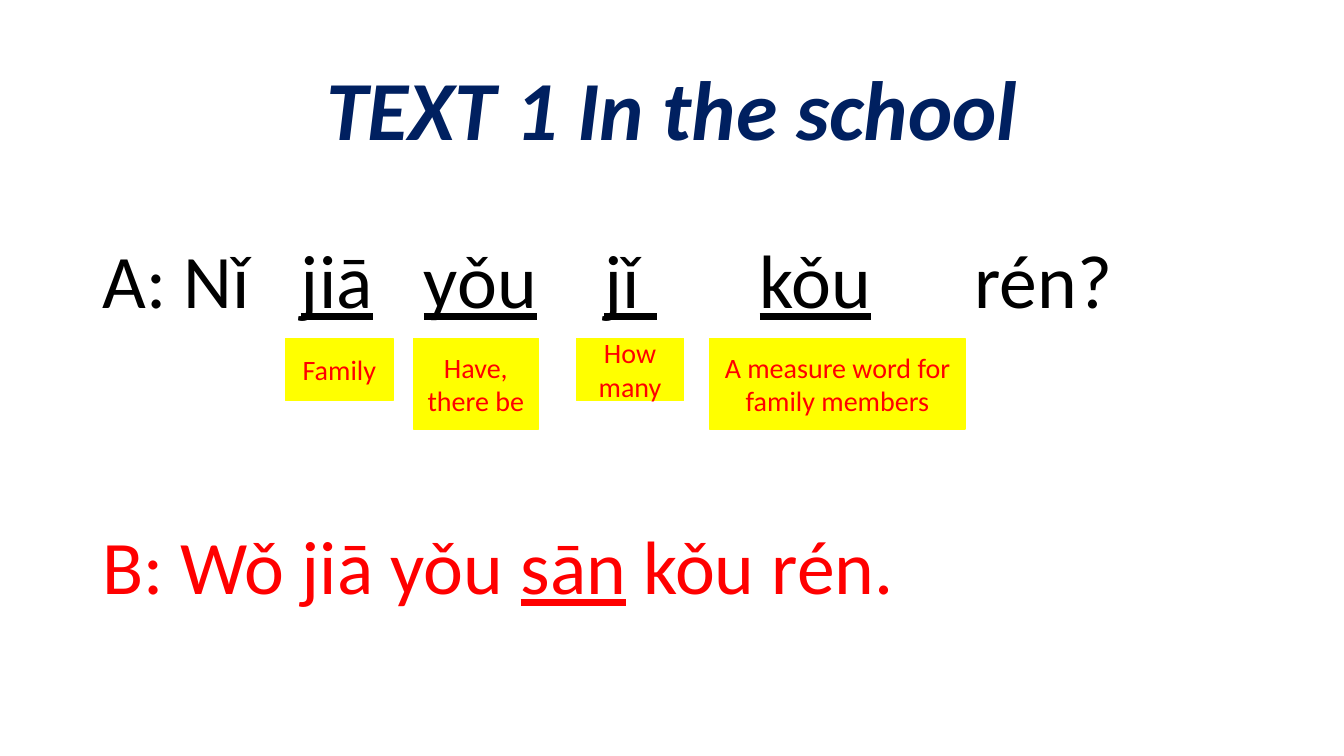
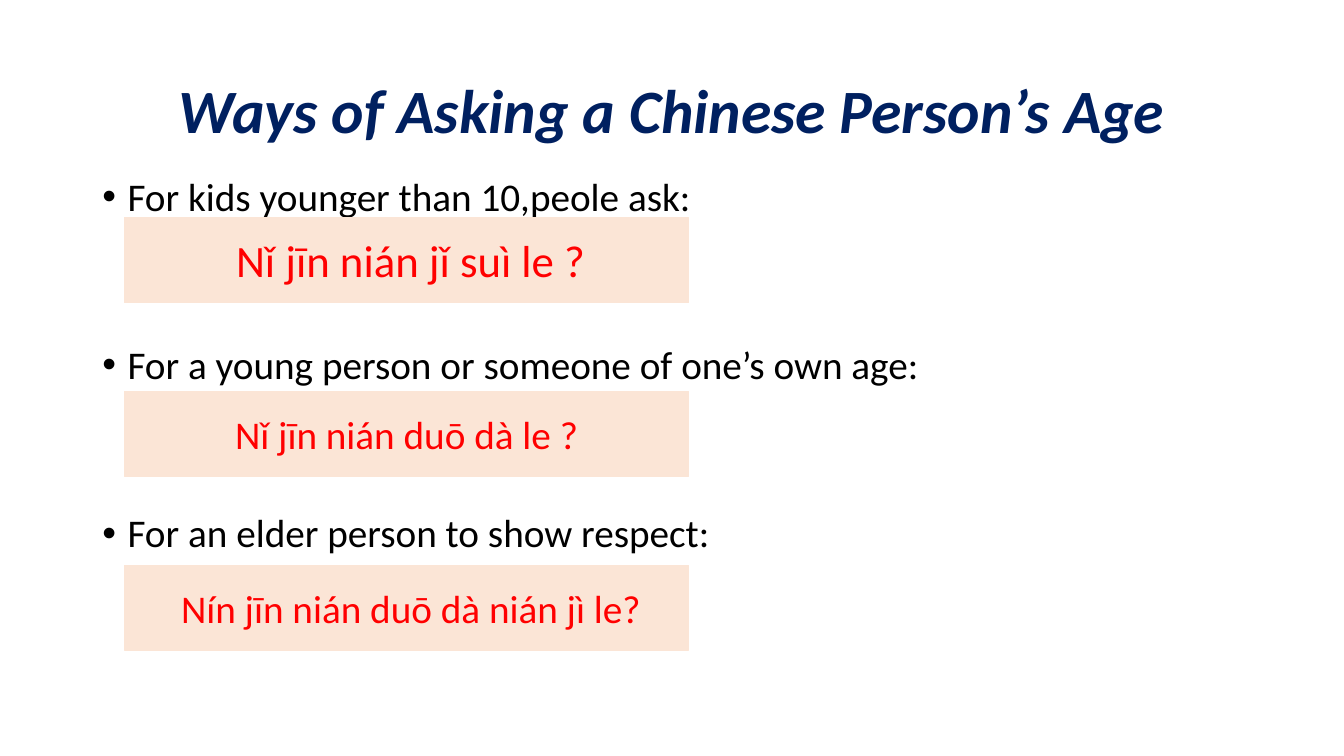
from lxml.etree import SubElement
from pptx import Presentation
from pptx.dml.color import RGBColor
from pptx.enum.shapes import MSO_SHAPE
from pptx.enum.text import MSO_ANCHOR, MSO_AUTO_SIZE, PP_ALIGN
from pptx.oxml.ns import qn
from pptx.util import Inches, Pt

NAVY, RED, BLACK = "002060", "FF0000", "000000"
GOLD, PEACH = "FFFF00", "FBE5D6"
FONT = "Calibri"
COLS, ROWS = 160, 90


def paint(code):
    """Turn a hex string into a colour."""
    return RGBColor.from_string(code)


def put(frame, text, size, color=BLACK, bold=False, italic=False,
        align=PP_ALIGN.LEFT, lead=1.0, gap=0, bullet=False, tabs=()):
    """Add a paragraph, underlining the parts between underscores."""
    first = not frame.paragraphs[0].runs
    para = frame.paragraphs[0] if first else frame.add_paragraph()
    para.alignment, para.line_spacing = align, lead
    para.space_before = Pt(0 if first else gap)
    props = para._p.get_or_add_pPr()
    if bullet:
        props.set("marL", str(Inches(0.25)))
        props.set("indent", str(-Inches(0.25)))
        SubElement(props, qn("a:buFont"), typeface="Arial")
        SubElement(props, qn("a:buChar"), char="•")
    if tabs:
        stops = SubElement(props, qn("a:tabLst"))
        for stop in tabs:
            SubElement(stops, qn("a:tab"), pos=str(Inches(stop)), algn="l")
    for count, part in enumerate(text.split("_")):
        if part:
            run = para.add_run()
            run.text = part
            font = run.font
            font.name, font.size = FONT, Pt(size)
            font.bold, font.italic = bold, italic
            font.underline = count % 2 == 1
            font.color.rgb = paint(color)


class Deck:
    """Hold the style, the grid and the current slide."""

    def __init__(self):
        """Start an empty wide deck."""
        self.show = Presentation()
        self.show.slide_width = Inches(13.33)
        self.show.slide_height = Inches(7.5)

    def grid(self, left, top, wide, high):
        """Turn columns and rows into lengths."""
        col = self.show.slide_width / COLS
        row = self.show.slide_height / ROWS
        return [int(n) for n in (left * col, top * row, wide * col, high * row)]

    def page(self, title, size):
        """Add a slide with its title."""
        self.slide = self.show.slides.add_slide(self.show.slide_layouts[5])
        head = self.slide.shapes.title
        head.left, head.top, head.width, head.height = self.grid(11, 4.8, 138, 17.4)
        frame = head.text_frame
        frame.auto_size = MSO_AUTO_SIZE.NONE
        frame.vertical_anchor = MSO_ANCHOR.MIDDLE
        put(frame, title, size, color=NAVY, bold=True, italic=True,
            align=PP_ALIGN.CENTER, lead=0.9)

    def body(self, top, high):
        """Add the main text area and return its frame."""
        box = self.slide.shapes.add_textbox(*self.grid(11, top, 138, high))
        box.text_frame.word_wrap = True
        return box.text_frame

    def card(self, lines, size, fill, left, top, wide, high, pad=0):
        """Add a filled box with centred red lines."""
        box = self.slide.shapes.add_shape(
            MSO_SHAPE.RECTANGLE, *self.grid(left, top, wide, high))
        box.shadow.inherit = False
        box.fill.solid()
        box.fill.fore_color.rgb = box.line.color.rgb = paint(fill)
        box.line.width = Pt(1)
        frame = box.text_frame
        frame.word_wrap = True
        frame.vertical_anchor = MSO_ANCHOR.MIDDLE
        frame.margin_left = Pt(7.2 + pad)
        for line in lines:
            put(frame, line, size, color=RED, align=PP_ALIGN.CENTER)


def school(deck):
    """Build the dialogue with its word notes."""
    deck.page("TEXT 1 In the school", 60)
    frame = deck.body(28.4, 52.7)
    put(frame, "A: Nǐ\t_jiā_\t_yǒu_\t_jǐ _\t_kǒu_\trén?", 54, lead=0.9,
        tabs=(1.97, 3.19, 4.98, 6.52, 8.65))
    put(frame, "B: Wǒ jiā yǒu _sān_ kǒu rén.", 54, color=RED, lead=0.9, gap=146)
    notes = (
        (["Family"], 34, 12.8, 7.4),
        (["Have,", "there be"], 49.2, 14.9, 10.8),
        (["How many"], 68.6, 12.8, 7.4),
        (["A measure word for family members"], 84.5, 30.4, 10.8),
    )
    for lines, left, wide, high in notes:
        deck.card(lines, 20, GOLD, left, 40.3, wide, high)


def ages(deck):
    """Build the three ways of asking an age."""
    deck.page("Ways of Asking a Chinese Person’s Age", 44)
    frame = deck.body(20.5, 60.6)
    ways = (
        ("For kids younger than 10,peole ask:", "Nǐ jīn nián jǐ suì le ?", 32, 6),
        ("For a young person or someone of one’s own age:",
         "Nǐ jīn nián duō dà le ?", 28, 0),
        ("For an elder person to show respect:",
         "Nín jīn nián duō dà nián jì le?", 28, 6),
    )
    for step, (case, ask, size, pad) in enumerate(ways):
        put(frame, case, 28, lead=0.9, gap=90, bullet=True)
        deck.card([ask], size, PEACH, 14.8, 25.9 + 20.7 * step, 67.2, 10.1, pad)


def main():
    """Build and save the deck."""
    deck = Deck()
    school(deck)
    ages(deck)
    deck.show.save("out.pptx")


if __name__ == "__main__":
    main()
